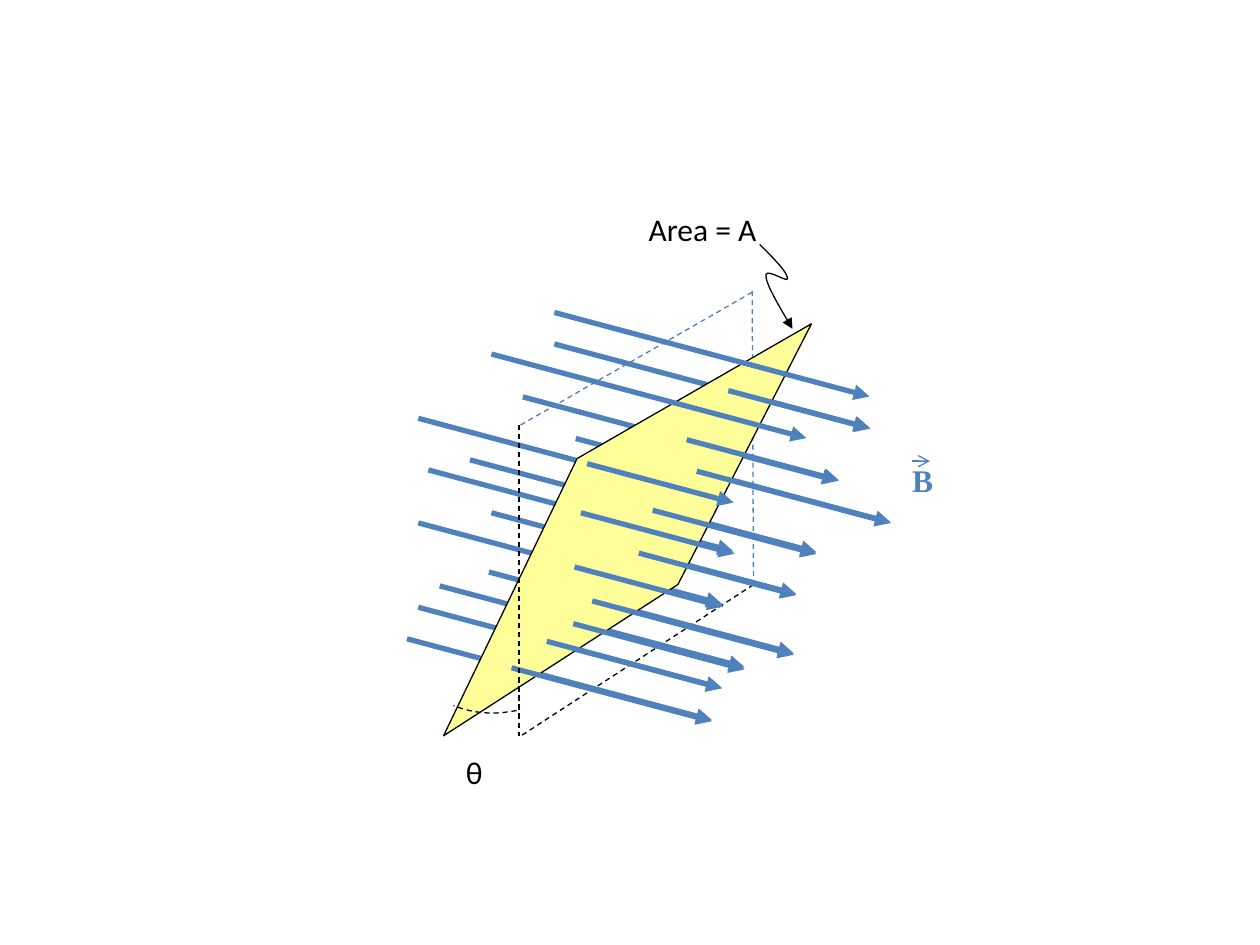
"""Build a slide showing magnetic field lines crossing a tilted plane area."""
import pptx
import pptx.dml.color
import pptx.enum.dml
import pptx.enum.shapes
import pptx.enum.text
import pptx.oxml
import pptx.oxml.ns
import pptx.util

BLUE = pptx.dml.color.RGBColor(0x4F, 0x81, 0xBD)
BLACK = pptx.dml.color.RGBColor(0, 0, 0)
YELLOW = pptx.dml.color.RGBColor(0xFF, 0xFF, 0x99)
DASH = pptx.enum.dml.MSO_LINE.DASH
THIN = 0.75
THICK = 3
FIELD_SLOPE = 4 / 15

DASHED_EDGES = [
    (5.98, 4.64, 4.12, 5.85, BLACK),
    (5.97, 2.31, 5.98, 4.65, BLUE),
    (5.97, 2.32, 4.12, 3.38, BLUE),
    (4.12, 3.37, 4.12, 5.84, BLACK),
]
# Each field line is (start x, start y, end x); the common slope gives end y.
FIELD_BEHIND = [
    (3.23, 5.07, 5.65), (3.49, 4.65, 5.91), (3.73, 3.65, 6.48),
    (4.4, 2.73, 6.9), (3.32, 3.32, 5.82), (3.32, 4.82, 5.73),
    (3.88, 4.54, 6.3), (3.32, 4.15, 5.73), (3.9, 4.07, 6.32),
    (3.4, 3.73, 5.82), (4.15, 3.15, 6.65), (4.57, 3.48, 7.07),
]
FIELD_IN_FRONT = [
    (4.06, 5.3, 5.65), (4.34, 5.09, 5.73), (4.55, 4.95, 5.91),
    (4.7, 4.77, 6.3), (4.56, 4.5, 5.74), (5.07, 4.39, 6.32),
    (4.61, 4.07, 5.83), (4.66, 3.68, 5.82), (5.53, 3.74, 7.07),
    (5.45, 3.49, 6.66), (5.78, 3.1, 6.91), (5.18, 4.05, 6.48),
    (4.4, 2.48, 6.9), (3.9, 2.81, 6.4),
]
PLATE = [(3.52, 5.84), (4.58, 3.64), (6.44, 2.57), (5.38, 4.64)]
POINTER = [
    (6.03, 1.94), (6.14, 2.05), (6.25, 2.16), (6.25, 2.21),
    (6.26, 2.25), (6.07, 2.12), (6.08, 2.19),
    (6.08, 2.26), (6.19, 2.44), (6.29, 2.61),
]
ANGLE_ARC = [
    (4.1, 5.64), (4.04, 5.65), (3.97, 5.66), (3.91, 5.66),
    (3.8, 5.66), (3.7, 5.64), (3.6, 5.6),
]


def length(inches):
    """Return a length in Cm for a measure in inches."""
    return pptx.util.Cm(inches * 2.54)


def style_line(sp, color, width, dash=None, tail=None):
    """Set the colour, width, dash and arrowhead of an outline."""
    line = sp.line
    line.color.rgb = color
    for name, value in {"width": pptx.util.Pt(width), "dash_style": dash}.items():
        setattr(line, name, value)
    if tail:
        end = pptx.oxml.parse_xml(
            f'<a:tailEnd {pptx.oxml.ns.nsdecls("a")} type="{tail}"/>')
        line._get_or_add_ln().append(end)


def add_line(shapes, x1, y1, x2, y2, color, width, dash=None, tail=None):
    """Add a straight line without a shadow."""
    sp = shapes.add_connector(pptx.enum.shapes.MSO_CONNECTOR.STRAIGHT,
                              *(length(v) for v in (x1, y1, x2, y2)))
    style_line(sp, color, width, dash, tail)
    sp._element.spPr.append(
        pptx.oxml.parse_xml(f'<a:effectLst {pptx.oxml.ns.nsdecls("a")}/>'))


def add_field(shapes, lines):
    """Add parallel field arrows."""
    for x1, y1, x2 in lines:
        add_line(shapes, x1, y1, x2, y1 + (x2 - x1) * FIELD_SLOPE,
                 BLUE, THICK, tail="triangle")


def add_outline(shapes, points, fill=None, dash=None, tail=None):
    """Add a freeform, closed when it has a fill."""
    pts = [(length(x), length(y)) for x, y in points]
    builder = shapes.build_freeform(*pts[0])
    builder.add_line_segments(pts[1:], close=fill is not None)
    sp = builder.convert_to_shape()
    sp.shadow.inherit = False
    if fill is None:
        sp.fill.background()
    else:
        sp.fill.solid()
        sp.fill.fore_color.rgb = fill
    style_line(sp, BLACK, THIN, dash, tail)


def curve(controls, steps=12):
    """Return points along a chain of cubic Bezier segments."""
    points = [controls[0]]
    for i in range(0, len(controls) - 1, 3):
        for k in range(1, steps + 1):
            t = k / steps
            weights = ((1 - t) ** 3, 3 * t * (1 - t) ** 2, 3 * t * t * (1 - t), t ** 3)
            points.append(tuple(
                sum(w * c[axis] for w, c in zip(weights, controls[i:i + 4]))
                for axis in (0, 1)))
    return points


def add_label(shapes, text, box, color=BLACK, wrap=False, **font):
    """Add a text box that fits its text."""
    tf = shapes.add_textbox(*(length(v) for v in box)).text_frame
    tf.word_wrap = wrap
    tf.auto_size = pptx.enum.text.MSO_AUTO_SIZE.SHAPE_TO_FIT_TEXT
    r = tf.paragraphs[0].add_run()
    r.text = text
    for name, value in {"size": pptx.util.Pt(18), "name": "Calibri", **font}.items():
        setattr(r.font, name, value)
    r.font.color.rgb = color


def add_vector_label(shapes):
    """Add the field symbol with its vector arrow as a group."""
    group = shapes.add_group_shape().shapes
    add_label(group, "B", (7.14, 3.61, 0.37, 0.4), BLUE,
              name="Times New Roman", bold=True)
    add_line(group, 7.24, 3.66, 7.38, 3.66, BLUE, THIN, tail="arrow")


def main():
    """Build and save the slide."""
    prs = pptx.Presentation()
    prs.slide_width, prs.slide_height = length(10), length(7.5)
    shapes = prs.slides.add_slide(prs.slide_layouts[6]).shapes
    for *ends, color in DASHED_EDGES[:2]:
        add_line(shapes, *ends, color, THIN, DASH)
    add_field(shapes, FIELD_BEHIND)
    add_outline(shapes, PLATE, fill=YELLOW)
    add_label(shapes, "Area = A", (5.05, 1.62, 1.07, 0.37))
    add_field(shapes, FIELD_IN_FRONT)
    add_outline(shapes, curve(POINTER), tail="triangle")
    add_outline(shapes, curve(ANGLE_ARC), dash=DASH)
    add_label(shapes, " θ", (3.6, 5.63, 0.37, 0.37), wrap=True)
    for *ends, color in DASHED_EDGES[2:]:
        add_line(shapes, *ends, color, THIN, DASH)
    add_vector_label(shapes)
    prs.save("out.pptx")


main()
